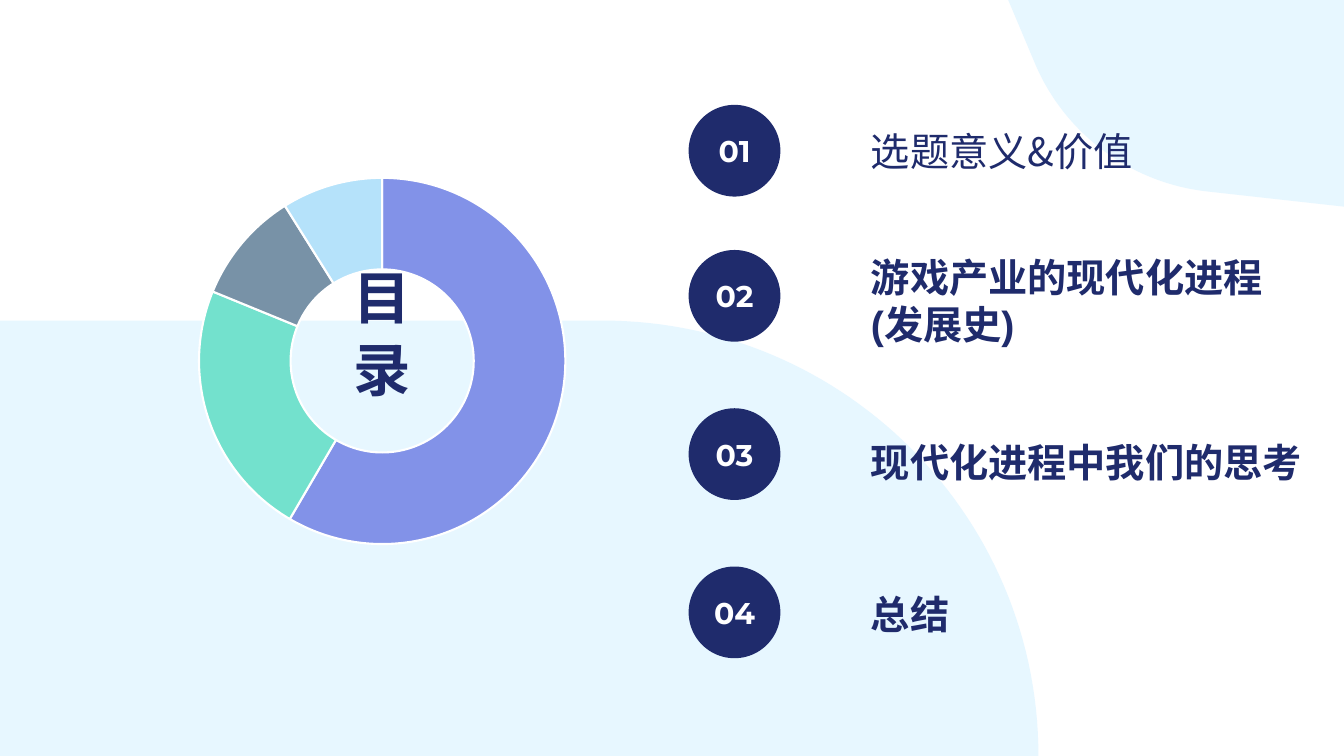
from lxml import etree
from pptx import Presentation
from pptx.chart.data import CategoryChartData
from pptx.dml.color import RGBColor
from pptx.enum.chart import XL_CHART_TYPE
from pptx.enum.shapes import MSO_SHAPE
from pptx.enum.text import MSO_ANCHOR, MSO_AUTO_SIZE, PP_ALIGN
from pptx.oxml import parse_xml
from pptx.oxml.ns import nsdecls, qn
from pptx.util import Inches, Pt

COLORS = {"navy": "1F2B6C", "pale": "E7F7FF", "white": "FFFFFF",
          "violet": "8292E8", "mint": "73E1CD", "slate": "7892A7", "sky": "B5E2FA"}
CJK = "Noto Sans CJK SC"
SHARES = [(59, "violet"), (23, "mint"), (10, "slate"), (9, "sky")]
ENTRIES = [
    ("01", 1.04, "选题意义&价值", (8.54, 1.21, 3.38, 0.57), CJK, False),
    ("02", 2.48, "游戏产业的现代化进程(发展史)", (8.54, 2.46, 4.19, 1.51), "Arial", True),
    ("03", 4.05, "现代化进程中我们的思考", (8.54, 4.3, 4.64, 1.04), "Arial", True),
    ("04", 5.62, "总结", (8.54, 5.81, 4.64, 0.57), CJK, True),
]


def rgb(name):
    """Return the named colour."""
    return RGBColor.from_string(COLORS[name])


def paint(sp, color):
    """Give a shape a plain fill without line or shadow."""
    sp.shadow.inherit = False
    sp.fill.solid()
    sp.fill.fore_color.rgb = rgb(color)
    sp.line.fill.background()


def curve(p0, p1, p2, p3, steps=60):
    """Return points along a cubic curve."""
    def at(t, axis):
        u = 1 - t
        return (u**3 * p0[axis] + 3 * u * u * t * p1[axis]
                + 3 * u * t * t * p2[axis] + t**3 * p3[axis])
    return [(at(i / steps, 0), at(i / steps, 1)) for i in range(steps + 1)]


def add_blob(s, points):
    """Draw a pale background outline."""
    start, *rest = [(Inches(x), Inches(y)) for x, y in points]
    builder = s.shapes.build_freeform(*start)
    builder.add_line_segments(rest, close=True)
    paint(builder.convert_to_shape(), "pale")


def add_text(s, text, box, size, font, color="navy", bold=True,
             align=PP_ALIGN.LEFT, inset=None, **frame):
    """Add a wrapped text box with one paragraph."""
    sp = s.shapes.add_textbox(*map(Inches, box))
    tf = sp.text_frame
    for name, value in {"word_wrap": True, **frame}.items():
        setattr(tf, name, value)
    if inset is not None:
        for side in ("left", "top", "right", "bottom"):
            setattr(tf, f"margin_{side}", Inches(inset))
    p = tf.paragraphs[0]
    p.alignment = align
    r = p.add_run()
    r.text = text
    for name, value in {"size": Pt(size), "name": font, "bold": bold}.items():
        setattr(r.font, name, value)
    r.font.color.rgb = rgb(color)
    if font == CJK:
        r.font.fill
        latin = r.font._element.find(qn("a:latin"))
        ea = etree.Element(qn("a:ea"), typeface=font)
        latin.addnext(ea)
    return sp


def add_entry(s, number, top, text, box, font, bold):
    """Add a numbered disc and its heading."""
    paint(s.shapes.add_shape(MSO_SHAPE.OVAL, *map(Inches, (6.83, top, 0.91, 0.91))), "navy")
    add_text(s, number, (6.89, top + 0.15, 0.79, 0.61), 21.4, "Montserrat", "white",
             align=PP_ALIGN.CENTER, inset=0.13, vertical_anchor=MSO_ANCHOR.MIDDLE)
    add_text(s, text, box, 28, font, bold=bold, auto_size=MSO_AUTO_SIZE.SHAPE_TO_FIT_TEXT)


def add_ring(s):
    """Add the doughnut chart."""
    data = CategoryChartData()
    data.categories = [str(i) for i in range(1, len(SHARES) + 1)]
    data.add_series("Series 1", [value for value, _ in SHARES])
    chart = s.shapes.add_chart(XL_CHART_TYPE.DOUGHNUT,
                               *map(Inches, (0.6, 1.64, 6.44, 4.29)), data).chart
    chart.has_legend = chart.has_title = False
    chart.font.size, chart.font.name = Pt(10), "Arial"
    chart.font.color.rgb = rgb("navy")
    plot = chart.plots[0]
    plot.vary_by_categories = True
    for i, (_, color) in enumerate(SHARES):
        fmt = plot.series[0].points[i].format
        fmt.fill.solid()
        fmt.fill.fore_color.rgb = rgb(color)
        fmt.line.color.rgb = rgb("white")
        fmt.line.width = Pt(1.5)
    root = chart.element
    root.find(".//" + qn("c:holeSize")).set("val", "75")
    area = root.find(".//" + qn("c:plotArea"))
    for old in area.findall(qn("c:layout")):
        area.remove(old)
    places = {"layoutTarget": "inner", "xMode": "edge", "yMode": "edge",
              "x": 0.213, "y": 0.029, "w": 0.565, "h": 0.847}
    body = "".join(f'<c:{tag} val="{val}"/>' for tag, val in places.items())
    area.insert(0, parse_xml(f'<c:layout {nsdecls("c")}><c:manualLayout>{body}'
                             '</c:manualLayout></c:layout>'))
    root.find(qn("c:chart")).addnext(parse_xml(
        f'<c:spPr {nsdecls("c", "a")}><a:noFill/><a:ln><a:noFill/></a:ln></c:spPr>'))


def main():
    """Build the contents slide."""
    prs = Presentation()
    prs.slide_width, prs.slide_height = Inches(13.33), Inches(7.5)
    s = prs.slides.add_slide(prs.slide_layouts[6])
    add_blob(s, [(0, 3.18), (0, 7.5),
                 *curve((10.3, 7.5), (10.3, 5.11), (8.36, 3.18), (5.97, 3.18))])
    add_blob(s, [(13.33, 2.05), (13.33, 0), (10, 0),
                 *curve((10.27, 0.64), (10.57, 1.34), (11.23, 1.82), (11.98, 1.9))])
    title = add_text(s, "目 录", (3.42, 2.67, 0.69, 1.8), 41, CJK, align=PP_ALIGN.CENTER,
                     inset=0, auto_size=MSO_AUTO_SIZE.SHAPE_TO_FIT_TEXT)
    title.element.txBody.find(qn("a:bodyPr")).set("vert", "eaVert")
    add_ring(s)
    for entry in ENTRIES:
        add_entry(s, *entry)
    prs.save("out.pptx")


if __name__ == "__main__":
    main()
